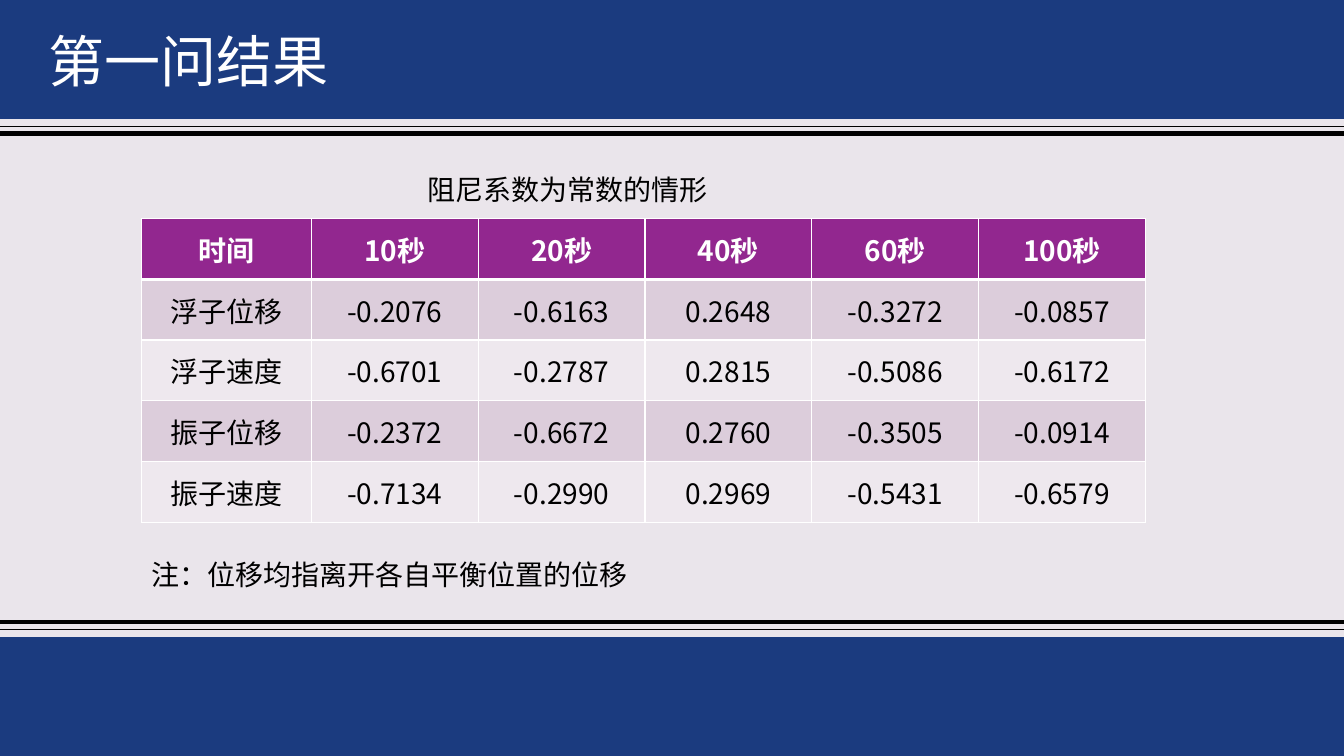
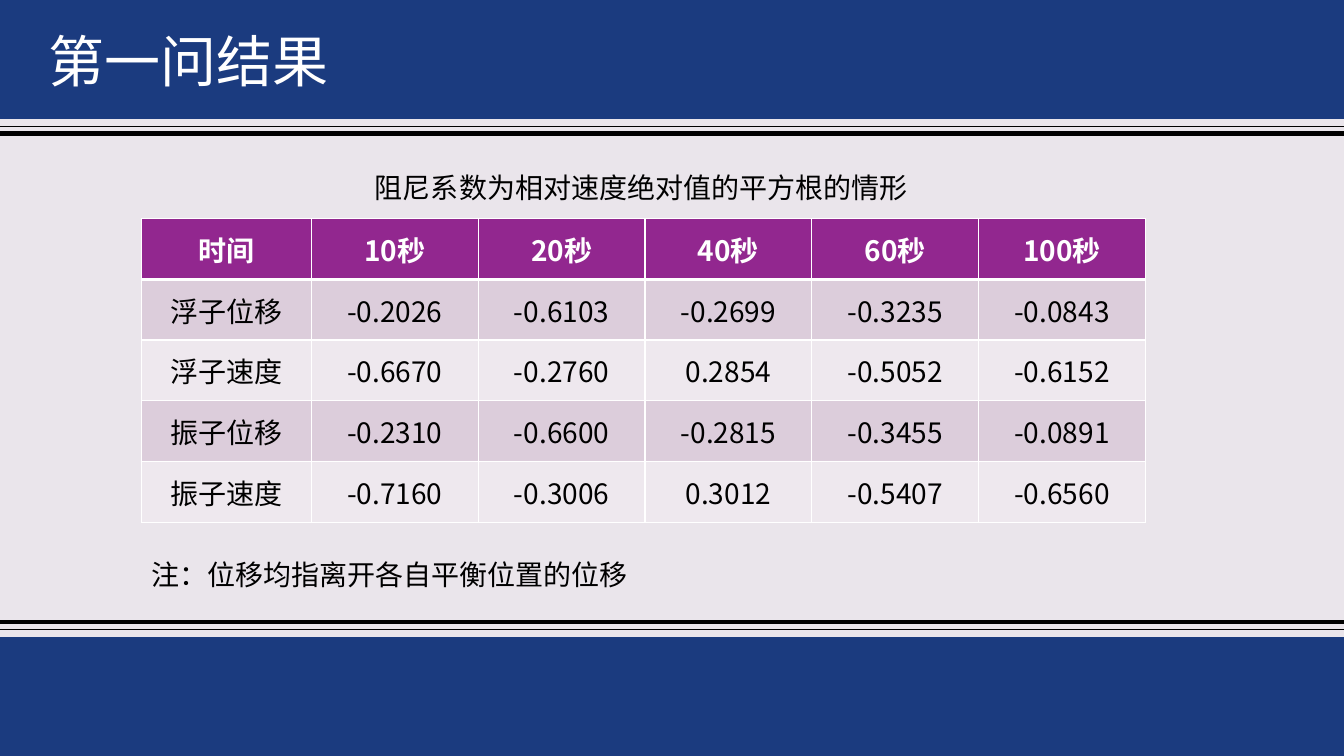
"""Build two result slides, each with a captioned table between double-ruled bands."""
from dataclasses import dataclass
from typing import Any

from lxml import etree
from pptx import Presentation
from pptx.dml.color import RGBColor
from pptx.enum.shapes import MSO_AUTO_SHAPE_TYPE, MSO_CONNECTOR_TYPE
from pptx.enum.text import MSO_ANCHOR, MSO_AUTO_SIZE, PP_ALIGN
from pptx.oxml.ns import qn
from pptx.util import Inches, Pt

RECTANGLE = MSO_AUTO_SHAPE_TYPE.RECTANGLE
STRAIGHT = MSO_CONNECTOR_TYPE.STRAIGHT
MIDDLE = MSO_ANCHOR.MIDDLE
CENTER = PP_ALIGN.CENTER
GROW = MSO_AUTO_SIZE.SHAPE_TO_FIT_TEXT

WIDTH, HEIGHT = Inches(13.33), Inches(7.5)
FONT = "Noto Sans CJK SC"
COLORS = {
    "page": "EAE5EB",
    "band": "1B3B7F",
    "ink": "000000",
    "white": "FFFFFF",
    "header": "92278F",
    "odd": "DCCDDB",
    "even": "EEE8EE",
}
STYLES: dict[str, dict[str, Any]] = {
    "title": {"size": Pt(40), "bold": False},
    "body": {"size": Pt(20), "bold": False},
    "header": {"size": Pt(20), "bold": True},
}
FRAME_FORMAT = {"word_wrap": True, "auto_size": GROW}
CELL_FORMAT = {"vertical_anchor": MIDDLE}

BAND_HEIGHT = 15.73
LEFT_MARGIN = 10.5
TABLE_TOP = 28.93
ROW_HEIGHT = 8.03
LABEL_WIDTH, VALUE_WIDTH = 12.68, 12.41
LINE_HEIGHT = 5.87

TITLE = "第一问结果"
NOTE = "注：位移均指离开各自平衡位置的位移"
TIMES = ["时间", "10秒", "20秒", "40秒", "60秒", "100秒"]
QUANTITIES = ["浮子位移", "浮子速度", "振子位移", "振子速度"]


@dataclass(frozen=True)
class Area:
    """A rectangle in hundredths of the slide's width and height."""

    left: float
    top: float
    width: float
    height: float

    def box(self) -> tuple[int, int, int, int]:
        """Return the rectangle in slide units."""
        return across(self.left), down(self.top), across(self.width), down(self.height)


@dataclass(frozen=True)
class Rule:
    """A full-width line at a distance from the slide's edge."""

    inset: float
    weight: float


@dataclass(frozen=True)
class Result:
    """One case of the simulation and its table values."""

    caption: str
    caption_area: Area
    values: list[list[str]]


RULES = [Rule(17.67, 3), Rule(16.73, 1)]
RESULTS = [
    Result(
        "阻尼系数为常数的情形",
        Area(31.06, 22.13, 25.96, LINE_HEIGHT),
        [
            ["-0.2076", "-0.6163", "0.2648", "-0.3272", "-0.0857"],
            ["-0.6701", "-0.2787", "0.2815", "-0.5086", "-0.6172"],
            ["-0.2372", "-0.6672", "0.2760", "-0.3505", "-0.0914"],
            ["-0.7134", "-0.2990", "0.2969", "-0.5431", "-0.6579"],
        ],
    ),
    Result(
        "阻尼系数为相对速度绝对值的平方根的情形",
        Area(27.16, 21.87, 41.48, LINE_HEIGHT),
        [
            ["-0.2026", "-0.6103", "-0.2699", "-0.3235", "-0.0843"],
            ["-0.6670", "-0.2760", "0.2854", "-0.5052", "-0.6152"],
            ["-0.2310", "-0.6600", "-0.2815", "-0.3455", "-0.0891"],
            ["-0.7160", "-0.3006", "0.3012", "-0.5407", "-0.6560"],
        ],
    ),
]


def across(share: float) -> int:
    """Convert hundredths of the slide's width."""
    return round(WIDTH * share / 100)


def down(share: float) -> int:
    """Convert hundredths of the slide's height."""
    return round(HEIGHT * share / 100)


def rgb(name: str) -> RGBColor:
    """Look up a named colour."""
    return RGBColor.from_string(COLORS[name])


def apply(target: Any, values: dict[str, Any]) -> None:
    """Set each format value on the target."""
    for attribute, value in values.items():
        setattr(target, attribute, value)


def paint(fill: Any, color: str) -> None:
    """Give a fill one solid colour."""
    fill.solid()
    fill.fore_color.rgb = rgb(color)


def write(paragraph: Any, text: str, style: str, color: str) -> None:
    """Add styled text to a paragraph."""
    run = paragraph.add_run()
    run.text = text
    apply(run.font, {"name": FONT, **STYLES[style]})
    run.font.color.rgb = rgb(color)
    properties = run.font._element if hasattr(run.font, "_element") else run._r.get_or_add_rPr()
    etree.SubElement(properties, qn("a:ea"), typeface=FONT)


def add_text(slide: Any, area: Area, text: str, style: str, color: str) -> None:
    """Place a line of text on the slide."""
    frame = slide.shapes.add_textbox(*area.box()).text_frame
    apply(frame, FRAME_FORMAT)
    write(frame.paragraphs[0], text, style, color)


def add_band(slide: Any, top: float) -> Any:
    """Draw a full-width colour band."""
    band = slide.shapes.add_shape(RECTANGLE, *Area(0, top, 100, BAND_HEIGHT).box())
    band.shadow.inherit = False
    paint(band.fill, "band")
    band.line.fill.background()
    return band


def add_rule(slide: Any, height: float, weight: float) -> Any:
    """Draw a full-width line."""
    rule = slide.shapes.add_connector(STRAIGHT, 0, down(height), WIDTH, down(height))
    rule.line.color.rgb = rgb("ink")
    rule.line.width = Pt(weight)
    etree.SubElement(rule._element.spPr, qn("a:effectLst"))
    return rule


def dress_master(master: Any, slide: Any) -> None:
    """Put the background, rules and bands on the master."""
    paint(master.background.fill, "page")
    parts = [
        add_rule(slide, height, rule.weight)
        for rule in RULES
        for height in (rule.inset, 100 - rule.inset)
    ]
    parts += [add_band(slide, top) for top in (0, 100 - BAND_HEIGHT)]
    for number, part in enumerate(parts, start=100):
        part._element.xpath(".//p:cNvPr")[0].set("id", str(number))
        master.shapes.element.append(part._element)


def add_borders(cell: Any, row: int) -> None:
    """Edge a cell in white, heavier between header and body."""
    weights = {"L": 1, "R": 1, "T": 3 if row == 1 else 1, "B": 3 if row == 0 else 1}
    properties = cell._tc.get_or_add_tcPr()
    for side, weight in weights.items():
        edge = etree.SubElement(properties, qn(f"a:ln{side}"), w=str(Pt(weight)))
        fill = etree.SubElement(edge, qn("a:solidFill"))
        etree.SubElement(fill, qn("a:srgbClr"), val=COLORS["white"])


def add_results(slide: Any, values: list[list[str]]) -> None:
    """Draw the table of results."""
    rows = [TIMES] + [[label, *line] for label, line in zip(QUANTITIES, values)]
    widths = [LABEL_WIDTH] + [VALUE_WIDTH] * (len(TIMES) - 1)
    area = Area(LEFT_MARGIN, TABLE_TOP, sum(widths), ROW_HEIGHT * len(rows))
    table = slide.shapes.add_table(len(rows), len(TIMES), *area.box()).table
    for column, width in zip(table.columns, widths):
        column.width = across(width)
    for row, line in enumerate(rows):
        table.rows[row].height = down(ROW_HEIGHT)
        shade = "header" if row == 0 else ("even", "odd")[row % 2]
        style, color = ("header", "white") if row == 0 else ("body", "ink")
        for column, text in enumerate(line):
            cell = table.cell(row, column)
            add_borders(cell, row)
            paint(cell.fill, shade)
            apply(cell, CELL_FORMAT)
            paragraph = cell.text_frame.paragraphs[0]
            paragraph.alignment = CENTER
            write(paragraph, text, style, color)


def add_result_slide(slide: Any, result: Result) -> None:
    """Fill a slide with the title, table, caption and note."""
    add_text(slide, Area(2.85, 2.8, 53.56, 10.27), TITLE, "title", "white")
    add_results(slide, result.values)
    add_text(slide, result.caption_area, result.caption, "body", "ink")
    add_text(slide, Area(LEFT_MARGIN, 73.07, 59.26, LINE_HEIGHT), NOTE, "body", "ink")


def main() -> None:
    """Build and save the presentation."""
    deck = Presentation()
    apply(deck, {"slide_width": WIDTH, "slide_height": HEIGHT})
    slides = [deck.slides.add_slide(deck.slide_layouts[6]) for _ in RESULTS]
    dress_master(deck.slide_master, slides[0])
    for slide, result in zip(slides, RESULTS):
        add_result_slide(slide, result)
    deck.save("out.pptx")


if __name__ == "__main__":
    main()
